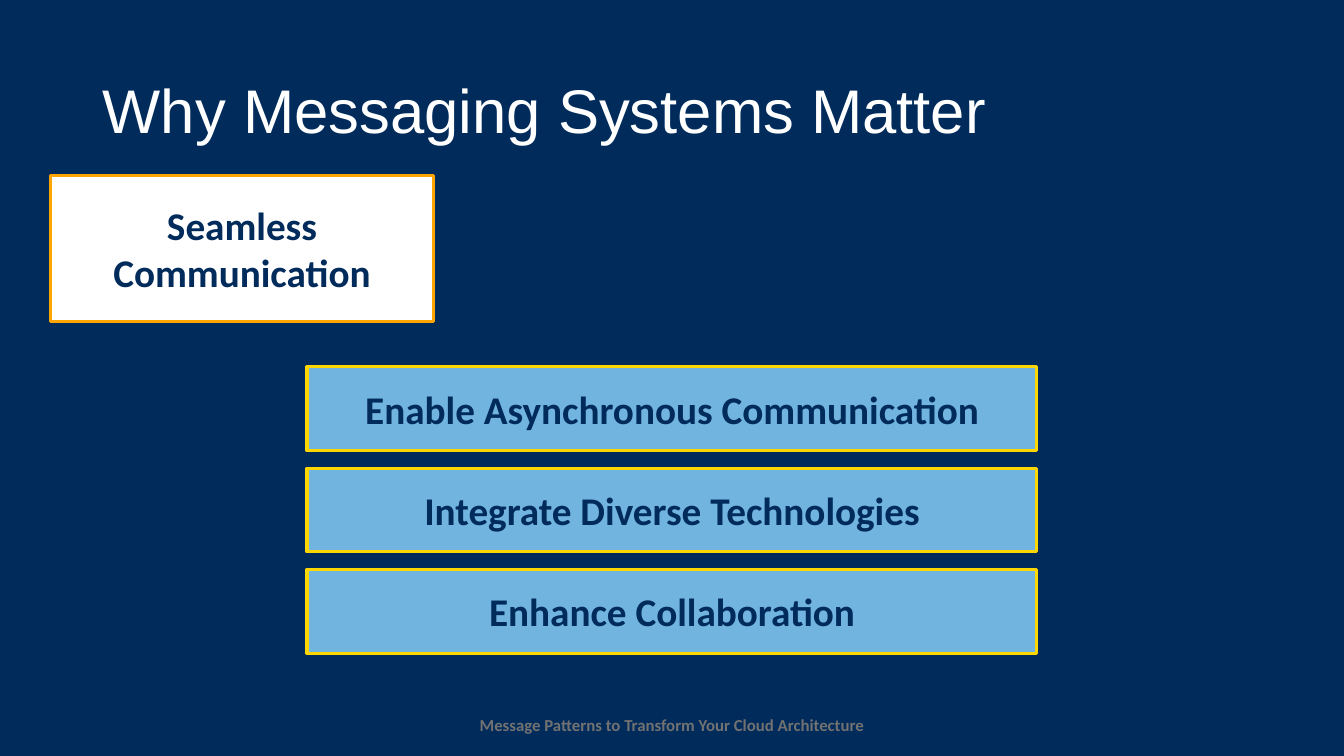
from pptx import Presentation
from pptx.dml.color import RGBColor
from pptx.enum.shapes import MSO_SHAPE
from pptx.enum.text import MSO_ANCHOR, PP_ALIGN
from pptx.util import Inches, Pt

RECTANGLE = MSO_SHAPE.RECTANGLE
MIDDLE = MSO_ANCHOR.MIDDLE
LEFT, CENTER = PP_ALIGN.LEFT, PP_ALIGN.CENTER

TITLE = "Why Messaging Systems Matter"
HEADLINE = "Seamless Communication"
BENEFITS = [
    "Enable Asynchronous Communication",
    "Integrate Diverse Technologies",
    "Enhance Collaboration",
]
FOOTER = "Message Patterns to Transform Your Cloud Architecture"

COLORS = {
    "navy": "002B5B",
    "white": "FFFFFF",
    "sky": "72B4E0",
    "gold": "FFD700",
    "orange": "FFA500",
    "gray": "727272",
}
TITLE_FONT = {"name": "Arial", "size": Pt(44), "bold": False}
BOX_FONT = {"name": "Calibri", "size": Pt(28), "bold": True}
FOOTER_FONT = {"name": "Calibri", "size": Pt(12), "bold": True}

SLIDE_WIDTH, SLIDE_HEIGHT = 13.33, 7.5
TITLE_AREA = (0.92, 0.4, 11.5, 1.45)
HEADLINE_AREA = (0.5, 1.74, 3.8, 1.45)
BENEFIT_WIDTH, BENEFIT_HEIGHT = 7.24, 0.83
BENEFIT_TOP, BENEFIT_PITCH = 3.64, 1.005
FOOTER_WIDTH, FOOTER_HEIGHT, FOOTER_TOP = 4.06, 0.3, 7.04


def color(name):
    return RGBColor.from_string(COLORS[name])


def centered(width):
    return (SLIDE_WIDTH - width) / 2


def write(shape, text, font, font_color, alignment):
    shape.text_frame.text = text
    paragraph = shape.text_frame.paragraphs[0]
    paragraph.alignment = alignment
    for attribute, value in font.items():
        setattr(paragraph.runs[0].font, attribute, value)
    paragraph.runs[0].font.color.rgb = color(font_color)
    return paragraph


def add_box(slide, area, text, fill, line):
    box = slide.shapes.add_shape(RECTANGLE, *map(Inches, area))
    box.shadow.inherit = False
    box.fill.solid()
    box.fill.fore_color.rgb = color(fill)
    box.line.color.rgb = color(line)
    box.line.width = Pt(2.25)
    box.text_frame.word_wrap = True
    box.text_frame.vertical_anchor = MIDDLE
    write(box, text, BOX_FONT, "navy", CENTER)


def add_title(slide):
    title = slide.shapes.title
    title.left, title.top, title.width, title.height = map(Inches, TITLE_AREA)
    title.text_frame.vertical_anchor = MIDDLE
    write(title, TITLE, TITLE_FONT, "white", LEFT).line_spacing = 0.9


def add_footer(slide):
    area = (centered(FOOTER_WIDTH), FOOTER_TOP, FOOTER_WIDTH, FOOTER_HEIGHT)
    footer = slide.shapes.add_textbox(*map(Inches, area))
    footer.text_frame.word_wrap = False
    write(footer, FOOTER, FOOTER_FONT, "gray", CENTER)


def main():
    presentation = Presentation()
    presentation.slide_width = Inches(SLIDE_WIDTH)
    presentation.slide_height = Inches(SLIDE_HEIGHT)
    slide = presentation.slides.add_slide(presentation.slide_layouts[5])
    slide.background.fill.solid()
    slide.background.fill.fore_color.rgb = color("navy")

    add_footer(slide)
    add_title(slide)
    add_box(slide, HEADLINE_AREA, HEADLINE, "white", "orange")
    for row, benefit in enumerate(BENEFITS):
        top = BENEFIT_TOP + row * BENEFIT_PITCH
        area = (centered(BENEFIT_WIDTH), top, BENEFIT_WIDTH, BENEFIT_HEIGHT)
        add_box(slide, area, benefit, "sky", "gold")

    presentation.save("out.pptx")


if __name__ == "__main__":
    main()
